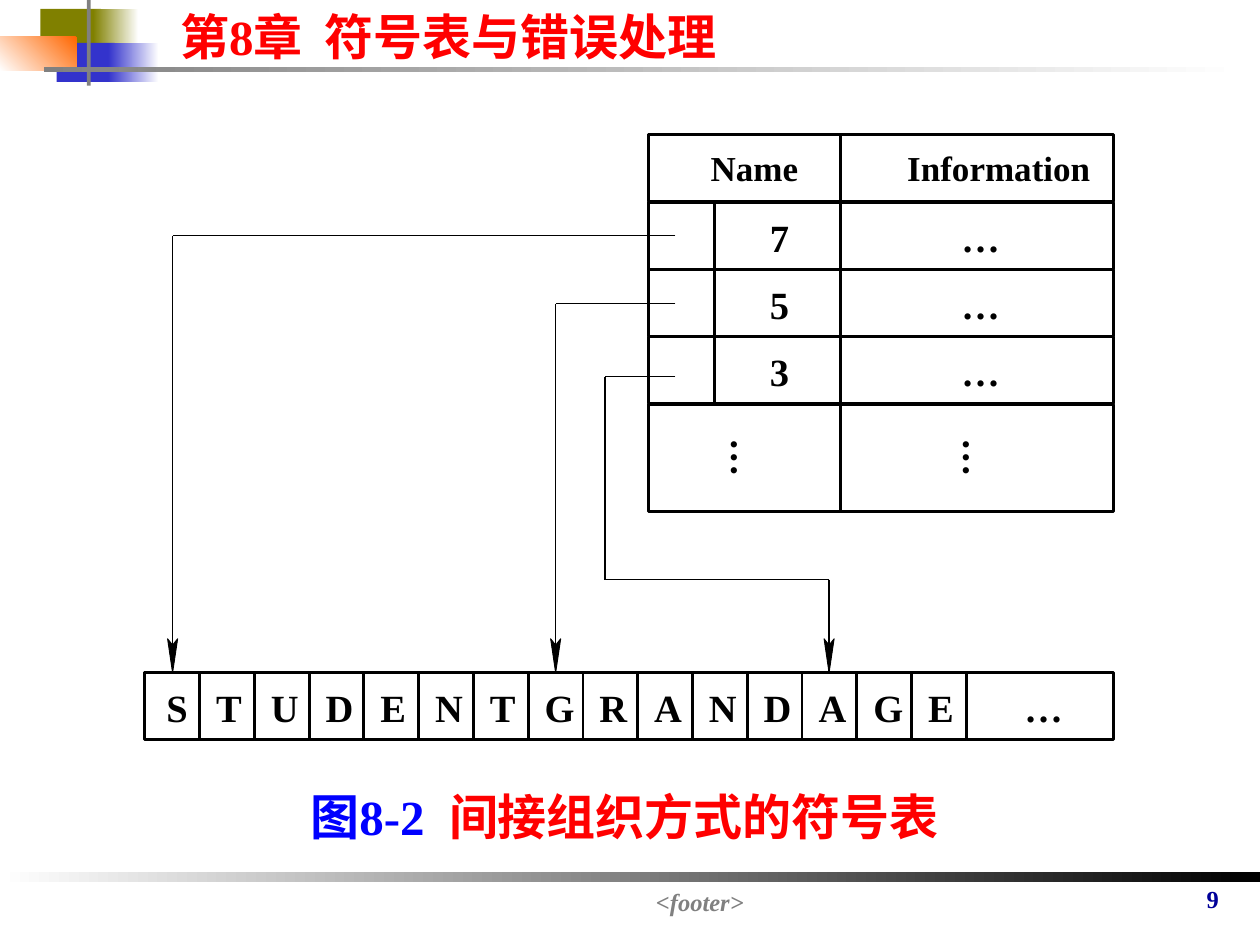
from pptx import Presentation
from pptx.dml.color import RGBColor
from pptx.enum.shapes import MSO_CONNECTOR as Connector, MSO_SHAPE as Shape
from pptx.enum.text import MSO_ANCHOR as Anchor, MSO_AUTO_SIZE as AutoSize, PP_ALIGN as Align
from pptx.oxml.ns import qn
from pptx.util import Inches, Pt
from lxml import etree


def rgb(value):
    return RGBColor.from_string(value)


class Deck:
    font = "Times New Roman"
    ink = "000000"

    def __init__(self, prs):
        self.slide = prs.slides.add_slide(prs.slide_layouts[5])
        self.shapes = self.slide.shapes

    def set_text(self, sp, runs, size, align=Align.LEFT, inset=(0.1, 0.05), wrap=True, italic=False):
        tf = sp.text_frame
        tf.auto_size = AutoSize.NONE
        tf.word_wrap = wrap
        tf.vertical_anchor = Anchor.TOP
        tf.margin_left = tf.margin_right = Inches(inset[0])
        tf.margin_top = tf.margin_bottom = Inches(inset[1])
        p = tf.paragraphs[0]
        p.alignment = align
        p.font.name, p.font.size = self.font, Pt(size)
        p.font.bold, p.font.italic = True, italic
        for text, color in runs:
            r = p.add_run()
            r.text = text
            r.font.color.rgb = rgb(color)

    def title(self, x, y, w, h, text, size, color):
        sp = self.shapes.title
        sp.left, sp.top, sp.width, sp.height = (Inches(v) for v in (x, y, w, h))
        self.set_text(sp, [(text, color)], size)

    def text(self, x, y, w, h, runs, size, **style):
        sp = self.shapes.add_textbox(Inches(x), Inches(y), Inches(w), Inches(h))
        self.set_text(sp, runs, size, **style)
        return sp

    def label(self, x, y, w, text, size=22, h=0.37, rotation=0):
        sp = self.text(x, y, w, h, [(text, self.ink)], size, inset=(0, 0), wrap=False)
        sp.rotation = rotation

    def rect(self, x, y, w, h, fill=None, line=None):
        sp = self.shapes.add_shape(Shape.RECTANGLE, Inches(x), Inches(y), Inches(w), Inches(h))
        sp.shadow.inherit = False
        if fill:
            sp.fill.solid()
            sp.fill.fore_color.rgb = rgb(fill)
        else:
            sp.fill.background()
        if line:
            sp.line.color.rgb = rgb(self.ink)
            sp.line.width = Pt(line)
        else:
            sp.line.fill.background()
        return sp

    def gradient(self, x, y, w, h, start, end, angle=180):
        fill = self.rect(x, y, w, h).fill
        fill.gradient()
        fill.gradient_angle = angle
        for stop, color, position in zip(fill.gradient_stops, (start, end), (0, 1)):
            stop.color.rgb = rgb(color)
            stop.position = position

    def cell(self, x, y, w, h=0.53, fill=None):
        self.rect(x, y, w, h, fill, 1.62)

    def line(self, start, end):
        points = [Inches(v) for v in (*start, *end)]
        cxn = self.shapes.add_connector(Connector.STRAIGHT, *points)
        cxn.line.color.rgb = rgb(self.ink)
        cxn.line.width = Pt(0.88)
        etree.SubElement(cxn._element.spPr, qn("a:effectLst"))

    def arrowhead(self, x, y):
        outline = [(x + dx, y - dy) for dx, dy in ((0.04, 0.27), (0, 0.22), (-0.04, 0.27), (0, 0))]
        points = [(Inches(px), Inches(py)) for px, py in outline]
        builder = self.shapes.build_freeform(*points[0])
        builder.add_line_segments(points[1:], close=True)
        sp = builder.convert_to_shape()
        sp.shadow.inherit = False
        sp.fill.solid()
        sp.fill.fore_color.rgb = rgb(self.ink)
        sp.line.color.rgb = rgb(self.ink)
        sp.line.width = Pt(0.51)

    def pointer(self, points):
        for start, end in zip(points, points[1:]):
            self.line(start, end)
        self.arrowhead(*points[-1])


prs = Presentation()
prs.slide_width, prs.slide_height = Inches(10), Inches(7.5)
deck = Deck(prs)

# Title, footer and page number
deck.title(1.33, 0, 5.75, 0.57, "第8章  符号表与错误处理", 28, "FF0000")
deck.gradient(0, 6.92, 10, 0.08, "000000", "FFFFFF")
deck.text(9.33, 6.97, 0.59, 0.34, [("9", "000099")], 14, align=Align.CENTER)
deck.text(1.61, 6.99, 7.89, 0.26, [("<footer>", "808080")], 14, align=Align.CENTER, italic=True)

# Corner ornament
deck.rect(0.32, 0.07, 0.48, 0.31, "808000")
deck.gradient(0.74, 0.07, 0.36, 0.31, "FFFFFF", "808000")
deck.rect(0.45, 0.34, 0.46, 0.31, "3333CC")
deck.gradient(0.86, 0.34, 0.4, 0.31, "FFFFFF", "3333CC")
deck.gradient(0, 0.29, 0.61, 0.27, "FF6600", "FFFFFF", 225)
deck.rect(0.69, 0, 0.03, 0.68, "808080")
deck.gradient(0.35, 0.53, 9.51, 0.04, "FFFFFF", "808080")

# Caption
deck.text(2.25, 6.19, 5.5, 0.57, [("图8-2  ", "0000FF"), ("间接组织方式的符号表 ", "FF0000")],
          28, align=Align.CENTER)

# Character array
array_left, array_top, rest_left, right = 1.15, 5.34, 7.67, 8.84
letters = "STUDENTGRANDAGE"
pitch = (rest_left - array_left) / len(letters)
for i, letter in enumerate(letters):
    x = array_left + i * pitch
    deck.cell(x, array_top, pitch, fill="FFFFFF")
    deck.label(x + (0.17 if letter == "S" else 0.13), array_top + 0.09, 0.22, letter)
deck.cell(rest_left, array_top, right - rest_left, fill="FFFFFF")
deck.label(8.13, array_top + 0.09, 0.31, "…")

# Symbol table: heading, entries, continuation
name_left, length_left, info_left = 5.15, 5.67, 6.67
name_w, info_w = info_left - name_left, right - info_left
table_top, row_h = 1.07, 0.535
for x, w, text_x, text_w, text in ((name_left, name_w, 5.64, 0.7, "Name"),
                                   (info_left, info_w, 7.2, 1.45, "Information")):
    deck.cell(x, table_top, w)
    deck.label(text_x, table_top + 0.09, text_w, text, 20, 0.33)
for row, length in enumerate("753", start=1):
    y = table_top + row * row_h
    deck.cell(name_left, y, length_left - name_left)
    deck.cell(length_left, y, info_left - length_left)
    deck.cell(info_left, y, info_w)
    deck.label(6.11, y + 0.09, 0.15, length)
    deck.label(7.63, y + 0.09, 0.31, "…")
for x, w, text_x in ((name_left, name_w, 5.77), (info_left, info_w, 7.61)):
    deck.cell(x, 3.21, w, 0.85)
    deck.label(text_x, 3.45, 0.31, "…", rotation=90)

# Pointers from the entries into the array
pointer_left = 5.36
deck.pointer([(pointer_left, 1.87), (1.37, 1.87), (1.37, array_top)])
deck.pointer([(pointer_left, 2.41), (4.41, 2.41), (4.41, array_top)])
deck.pointer([(pointer_left, 2.99), (4.8, 2.99), (4.8, 4.6), (6.58, 4.6), (6.58, array_top)])

prs.save("out.pptx")
